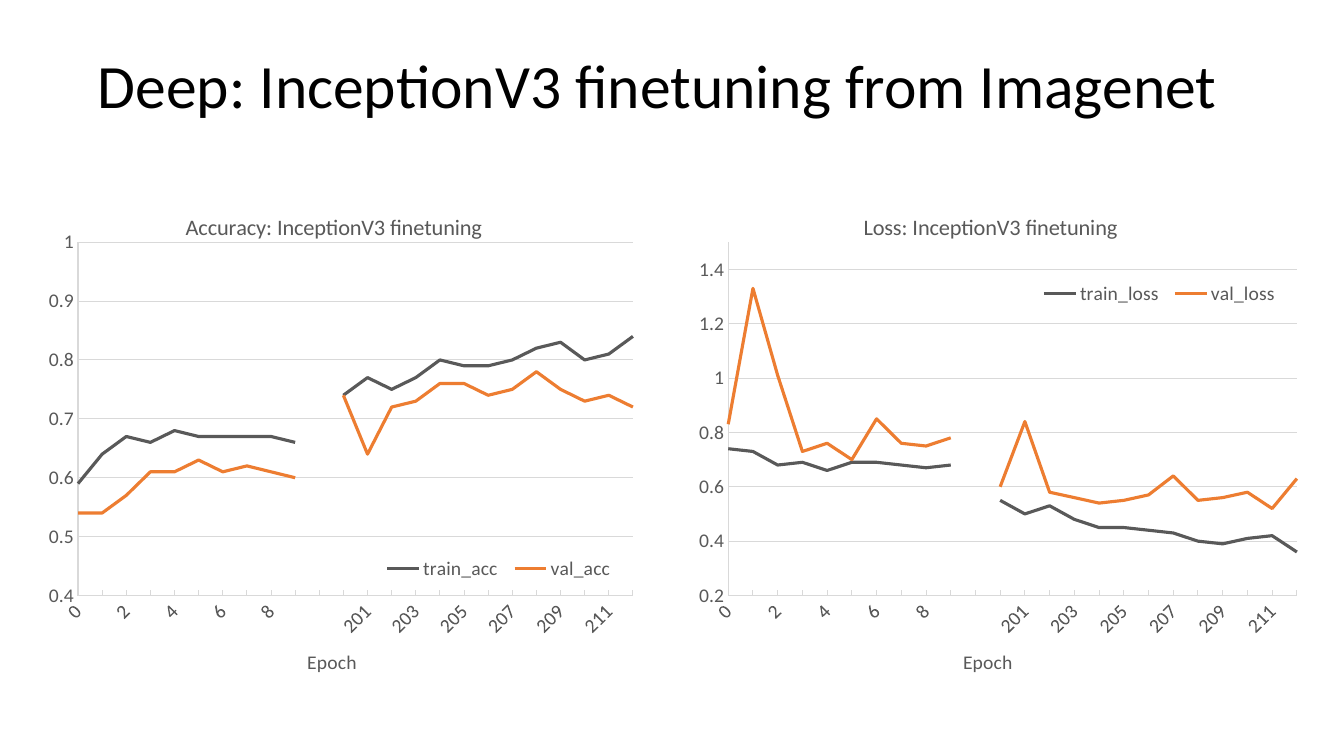
from lxml import etree
from pptx import Presentation
from pptx.chart.data import CategoryChartData
from pptx.dml.color import RGBColor
from pptx.enum import chart as ch, text
from pptx.oxml.ns import qn
from pptx.util import Cm, Pt

BLACK = RGBColor(0x00, 0x00, 0x00)
GREY = RGBColor(0x59, 0x59, 0x59)
ORANGE = RGBColor(0xED, 0x7D, 0x31)
GRID = RGBColor(0xD9, 0xD9, 0xD9)
FONT = "Calibri"

EPOCHS = [str(n) for n in range(10)] + [""] + [str(n) for n in range(200, 213)]
ACCURACY = {
    "train_acc": [0.59, 0.64, 0.67, 0.66, 0.68, 0.67, 0.67, 0.67, 0.67, 0.66, None,
                  0.74, 0.77, 0.75, 0.77, 0.8, 0.79, 0.79, 0.8, 0.82, 0.83, 0.8, 0.81, 0.84],
    "val_acc": [0.54, 0.54, 0.57, 0.61, 0.61, 0.63, 0.61, 0.62, 0.61, 0.6, None,
                0.74, 0.64, 0.72, 0.73, 0.76, 0.76, 0.74, 0.75, 0.78, 0.75, 0.73, 0.74, 0.72],
}
LOSS = {
    "train_loss": [0.74, 0.73, 0.68, 0.69, 0.66, 0.69, 0.69, 0.68, 0.67, 0.68, None,
                   0.55, 0.5, 0.53, 0.48, 0.45, 0.45, 0.44, 0.43, 0.4, 0.39, 0.41, 0.42, 0.36],
    "val_loss": [0.83, 1.33, 1.01, 0.73, 0.76, 0.7, 0.85, 0.76, 0.75, 0.78, None,
                 0.6, 0.84, 0.58, 0.56, 0.54, 0.55, 0.57, 0.64, 0.55, 0.56, 0.58, 0.52, 0.63],
}


def set_font(font, size=14, color=GREY):
    """Apply the slide's typeface with a size and colour."""
    font.name, font.size, font.bold = FONT, Pt(size), False
    font.color.rgb = color


def put_text(tf, words, size=14, color=GREY, align=None, spacing=None):
    """Write one formatted paragraph into a text frame."""
    p = tf.paragraphs[0]
    p.alignment, p.line_spacing = align, spacing
    r = p.add_run()
    r.text = words
    set_font(r.font, size, color)


def place(element, after=None, **fractions):
    """Give a chart part a manual layout in fractions of the chart."""
    for old in element.findall(qn("c:layout")):
        element.remove(old)
    layout = etree.Element(qn("c:layout"))
    manual = etree.SubElement(layout, qn("c:manualLayout"))
    if after is None:
        etree.SubElement(manual, qn("c:layoutTarget")).set("val", "inner")
    for key in ("x", "y"):
        etree.SubElement(manual, qn(f"c:{key}Mode")).set("val", "edge")
    for key, value in fractions.items():
        etree.SubElement(manual, qn(f"c:{key}")).set("val", f"{value:.2f}")
    if after is None:
        element.insert(0, layout)
    else:
        element.find(qn(after)).addnext(layout)


def format_axis(axis):
    """Style the line, ticks and labels shared by both axes."""
    axis.major_tick_mark = ch.XL_TICK_MARK.INSIDE
    axis.minor_tick_mark = ch.XL_TICK_MARK.NONE
    axis.format.line.color.rgb = GRID
    axis.format.line.width = Pt(0.75)
    set_font(axis.tick_labels.font)


def format_epoch_axis(axis):
    """Slant the epoch labels, show every second one and add the title."""
    format_axis(axis)
    axis.has_major_gridlines = False
    axis._element.find(qn("c:txPr")).find(qn("a:bodyPr")).set("rot", "-2700000")
    skip = etree.Element(qn("c:tickLblSkip"))
    skip.set("val", "2")
    axis._element.find(qn("c:noMultiLvlLbl")).addprevious(skip)
    put_text(axis.axis_title.text_frame, "Epoch")
    place(axis.axis_title._element, "c:tx", x=0.44, y=0.94)


def format_value_axis(axis, low, high, step):
    """Set the value scale and gridlines, with points on the tick marks."""
    format_axis(axis)
    axis.minimum_scale, axis.maximum_scale, axis.major_unit = low, high, step
    axis.tick_labels.number_format = "General"
    axis.tick_labels.number_format_is_linked = False
    axis.has_major_gridlines = True
    axis.major_gridlines.format.line.color.rgb = GRID
    axis.major_gridlines.format.line.width = Pt(0.75)
    for old in axis._element.findall(qn("c:crossBetween")):
        axis._element.remove(old)
    cross = etree.Element(qn("c:crossBetween"))
    cross.set("val", "midCat")
    axis._element.find(qn("c:majorUnit")).addprevious(cross)


def add_title(slide, left, top, width, height):
    """Place the slide title in the given box."""
    sp = slide.shapes.title
    sp.left, sp.top, sp.width, sp.height = left, top, width, height
    sp.text_frame.vertical_anchor = text.MSO_ANCHOR.MIDDLE
    put_text(sp.text_frame, "Deep: InceptionV3 finetuning from Imagenet", size=44,
             color=BLACK, align=text.PP_ALIGN.LEFT, spacing=0.9)


def add_history(slide, left, top, width, height, title, curves, scale, title_x, legend_y):
    """Draw the training and validation curves in the given box."""
    data = CategoryChartData()
    data.categories = EPOCHS
    for name, values in curves.items():
        data.add_series(name, values)
    chart = slide.shapes.add_chart(ch.XL_CHART_TYPE.LINE, left, top, width, height, data).chart
    set_font(chart.font, color=BLACK)
    chart.has_title = True
    put_text(chart.chart_title.text_frame, title, size=16)
    place(chart.chart_title._element, "c:tx", x=title_x, y=0.05)
    plot = chart.plots[0]
    plot.vary_by_categories = False
    for series, color in zip(plot.series, (GREY, ORANGE)):
        series.smooth = False
        series.marker.style = ch.XL_MARKER_STYLE.NONE
        series.format.line.color.rgb = color
        series.format.line.width = Pt(2.25)
    format_epoch_axis(chart.category_axis)
    format_value_axis(chart.value_axis, *scale)
    place(chart._chartSpace.find(".//" + qn("c:plotArea")), x=0.07, y=0.12, w=0.91, h=0.72)
    chart.has_legend = True
    chart.legend.position = ch.XL_LEGEND_POSITION.BOTTOM
    chart.legend.include_in_layout = False
    set_font(chart.legend.font)
    place(chart.legend._element, "c:legendPos", x=0.56, y=legend_y, w=0.4, h=0.07)


def main():
    """Build the slide and save it."""
    prs = Presentation()
    prs.slide_width, prs.slide_height = Cm(33.87), Cm(19.05)
    slide = prs.slides.add_slide(prs.slide_layouts[5])
    add_title(slide, Cm(2.21), Cm(0.38), Cm(29.21), Cm(3.68))
    top, height = Cm(4.62), Cm(12.52)
    add_history(slide, Cm(0.89), top, Cm(15.37), height, "Accuracy: InceptionV3 finetuning",
                ACCURACY, scale=(0.4, 1, 0.1), title_x=0.24, legend_y=0.75)
    add_history(slide, Cm(17.25), top, Cm(15.75), height, "Loss: InceptionV3 finetuning",
                LOSS, scale=(0.2, 1.5, 0.2), title_x=0.28, legend_y=0.19)
    prs.save("out.pptx")


if __name__ == "__main__":
    main()
